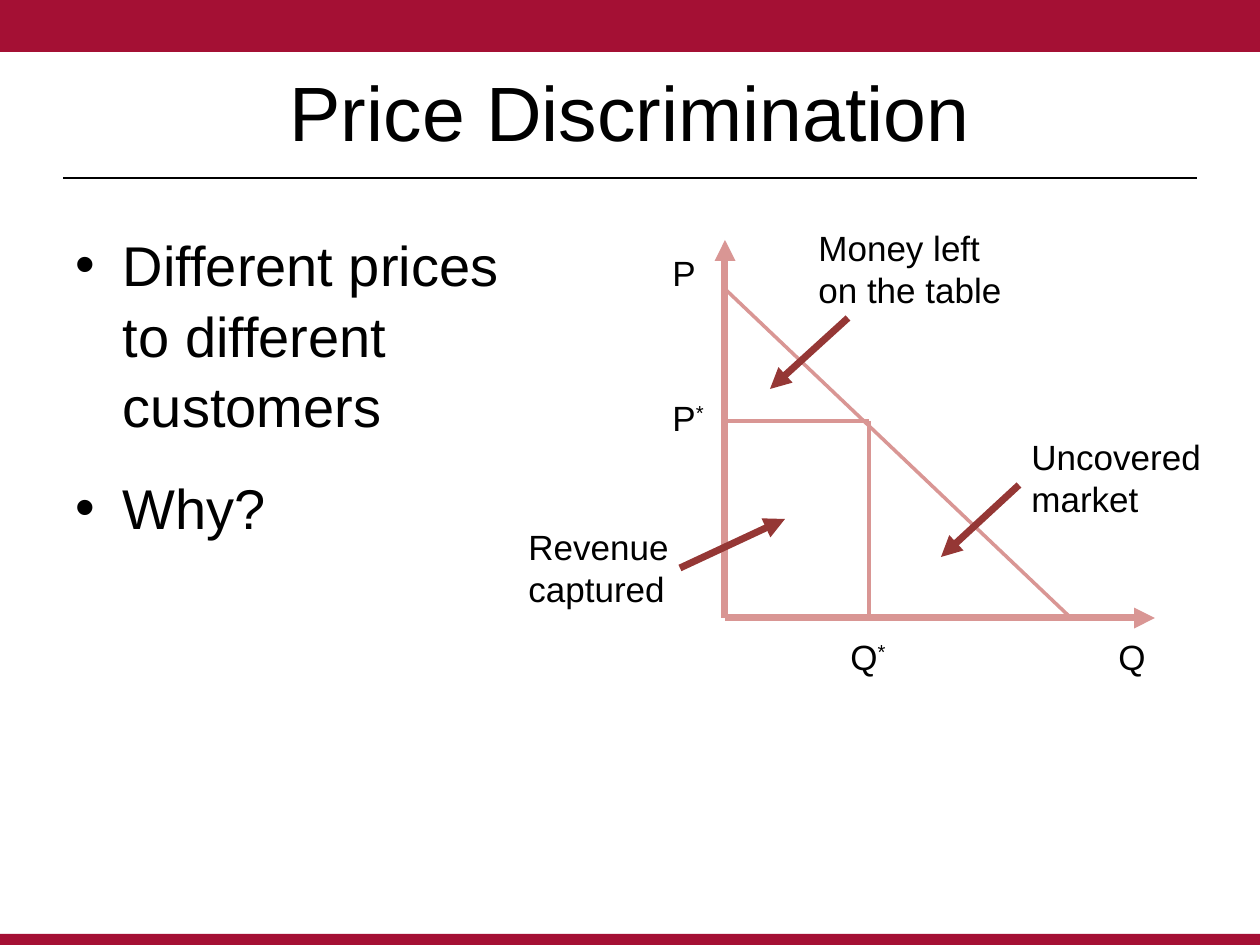
from dataclasses import dataclass

from lxml import etree
from pptx import Presentation
from pptx.dml.color import RGBColor
from pptx.enum.shapes import MSO_CONNECTOR, MSO_SHAPE
from pptx.enum.text import MSO_ANCHOR, MSO_AUTO_SIZE, PP_ALIGN
from pptx.oxml.ns import qn
from pptx.util import Pt

STRAIGHT = MSO_CONNECTOR.STRAIGHT
RECTANGLE = MSO_SHAPE.RECTANGLE
MIDDLE, TOP = MSO_ANCHOR.MIDDLE, MSO_ANCHOR.TOP
NO_AUTOFIT = MSO_AUTO_SIZE.NONE
LEFT, CENTER = PP_ALIGN.LEFT, PP_ALIGN.CENTER

EMU_PER_PX = 914400 / 126
WIDTH, HEIGHT = 1260, 945


@dataclass(frozen=True)
class Theme:
    font: str = "Arial"
    text: str = "000000"
    band: str = "A41034"
    graph: str = "D99694"
    pointer: str = "953735"
    title_size: int = 44
    body_size: int = 32
    label_size: int = 20
    rule_width: float = 1.25
    thin: int = 2
    thick: int = 4


def px(value):
    return round(value * EMU_PER_PX)


def write_text(frame, text, *, theme, size, align=LEFT, anchor=TOP,
               space_before=0, line_spacing=1.0, superscript=""):
    """Fill a frame from a list of paragraphs; a newline is a line break."""
    frame.word_wrap = True
    frame.auto_size = NO_AUTOFIT
    frame.vertical_anchor = anchor
    for index, content in enumerate(text):
        paragraph = frame.add_paragraph() if index else frame.paragraphs[0]
        paragraph.alignment = align
        paragraph.space_before = Pt(space_before if index else 0)
        paragraph.line_spacing = line_spacing
        for line_index, line in enumerate(content.split("\n")):
            if line_index:
                paragraph.add_line_break()
            paragraph.add_run().text = line
        if superscript:
            run = paragraph.add_run()
            run.text = superscript
            run.font._element.set("baseline", "30000")
        for run in paragraph.runs:
            run.font.name = theme.font
            run.font.size = Pt(size)
            run.font.color.rgb = RGBColor.from_string(theme.text)


class SlideBuilder:
    def __init__(self, slide, theme):
        self.slide = slide
        self.theme = theme

    def placeholder(self, index, text, left, top, width, height, **text_format):
        shape = self.slide.placeholders[index]
        shape.left, shape.top = px(left), px(top)
        shape.width, shape.height = px(width), px(height)
        write_text(shape.text_frame, text, theme=self.theme, **text_format)

    def band(self, top, height):
        shape = self.slide.shapes.add_shape(
            RECTANGLE, 0, px(top), px(WIDTH), px(height))
        shape.shadow.inherit = False
        shape.fill.solid()
        shape.fill.fore_color.rgb = RGBColor.from_string(self.theme.band)
        shape.line.fill.background()

    def line(self, start, end, color, width, arrow=False):
        connector = self.slide.shapes.add_connector(
            STRAIGHT, *map(px, (*start, *end)))
        connector.line.color.rgb = RGBColor.from_string(color)
        connector.line.width = Pt(width)
        if arrow:
            outline = connector.line._get_or_add_ln()
            etree.SubElement(outline, qn("a:tailEnd"), type="triangle")
        etree.SubElement(connector._element.spPr, qn("a:effectLst"))

    def label(self, text, left, top, width, height, superscript=""):
        box = self.slide.shapes.add_textbox(*map(px, (left, top, width, height)))
        write_text(box.text_frame, text, theme=self.theme,
                   size=self.theme.label_size, superscript=superscript)


def main():
    presentation = Presentation()
    presentation.slide_width, presentation.slide_height = px(WIDTH), px(HEIGHT)
    slide = presentation.slides.add_slide(presentation.slide_layouts[1])
    theme = Theme()
    builder = SlideBuilder(slide, theme)

    # Frame of the page
    builder.band(0, 52)
    builder.band(934, 11)
    builder.line((63, 178), (1197, 178), theme.text, theme.rule_width)

    # Title and bullets
    builder.placeholder(0, ["Price Discrimination"], 63, 32, 1134, 158,
                        size=theme.title_size, align=CENTER, anchor=MIDDLE)
    builder.placeholder(1, ["Different prices to different\ncustomers", "Why?"],
                        63, 221, 452, 624, size=theme.body_size,
                        space_before=18, line_spacing=1.05)

    # Axes
    origin_x, origin_y = origin = (725, 618)
    builder.line(origin, (1155, origin_y), theme.graph, theme.thick, arrow=True)
    builder.line(origin, (origin_x, 240), theme.graph, theme.thick, arrow=True)

    # Demand line and the chosen price and quantity
    quantity, price = optimum = (869, 421)
    for start, end in (
        ((origin_x, 289), (1071, origin_y)),
        ((origin_x, price), optimum),
        (optimum, (quantity, origin_y)),
    ):
        builder.line(start, end, theme.graph, theme.thin)

    # Axis labels
    for name, left, top, superscript in (
        ("P", 660, 245, ""),
        ("P", 660, 390, "*"),
        ("Q", 838, 629, "*"),
        ("Q", 1106, 629, ""),
    ):
        builder.label([name], left, top, 65, 55, superscript)

    # Area labels with their pointers
    for text, left, top, width, start, end in (
        (["Revenue", "captured"], 516, 519, 176, (680, 568), (785, 519)),
        (["Money left", "on the table"], 806, 220, 237, (848, 318), (770, 389)),
        (["Uncovered market"], 1019, 429, 199, (1019, 485), (941, 557)),
    ):
        builder.label(text, left, top, width, 97)
        builder.line(start, end, theme.pointer, theme.thick, arrow=True)

    presentation.save("out.pptx")


if __name__ == "__main__":
    main()
